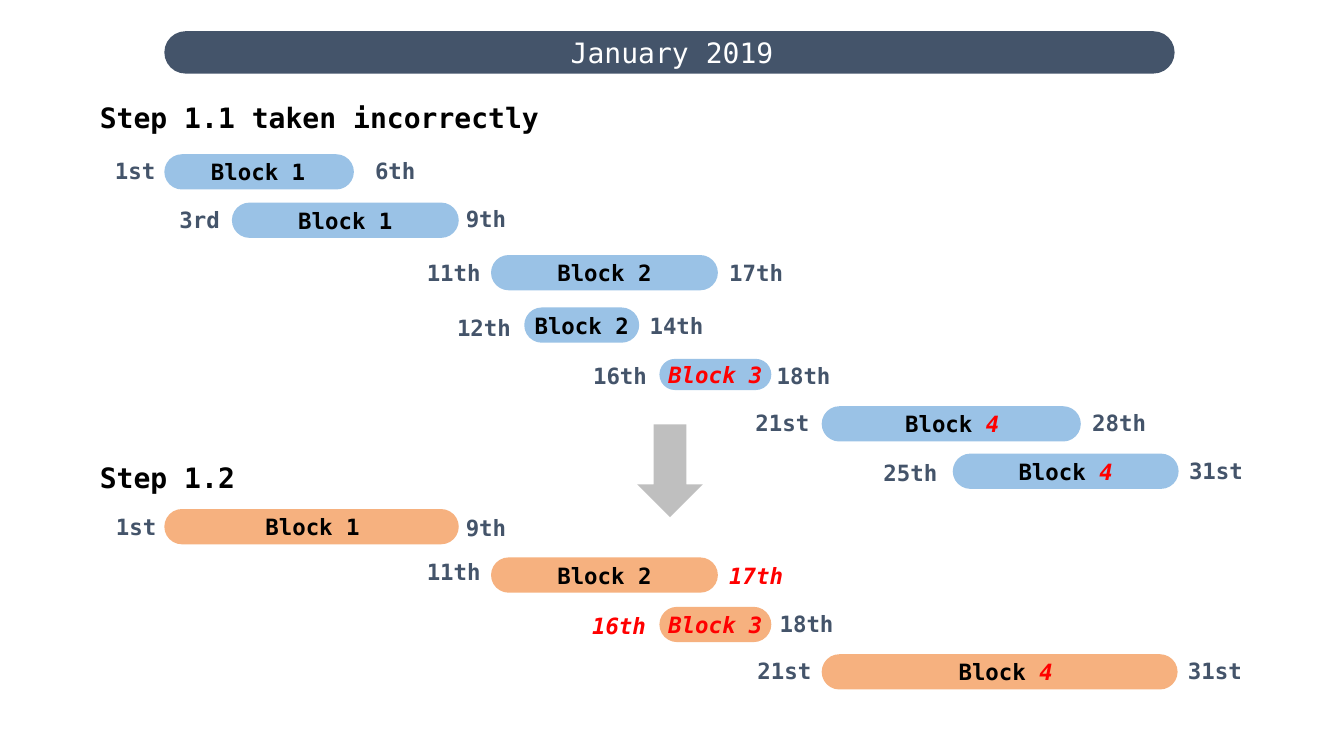
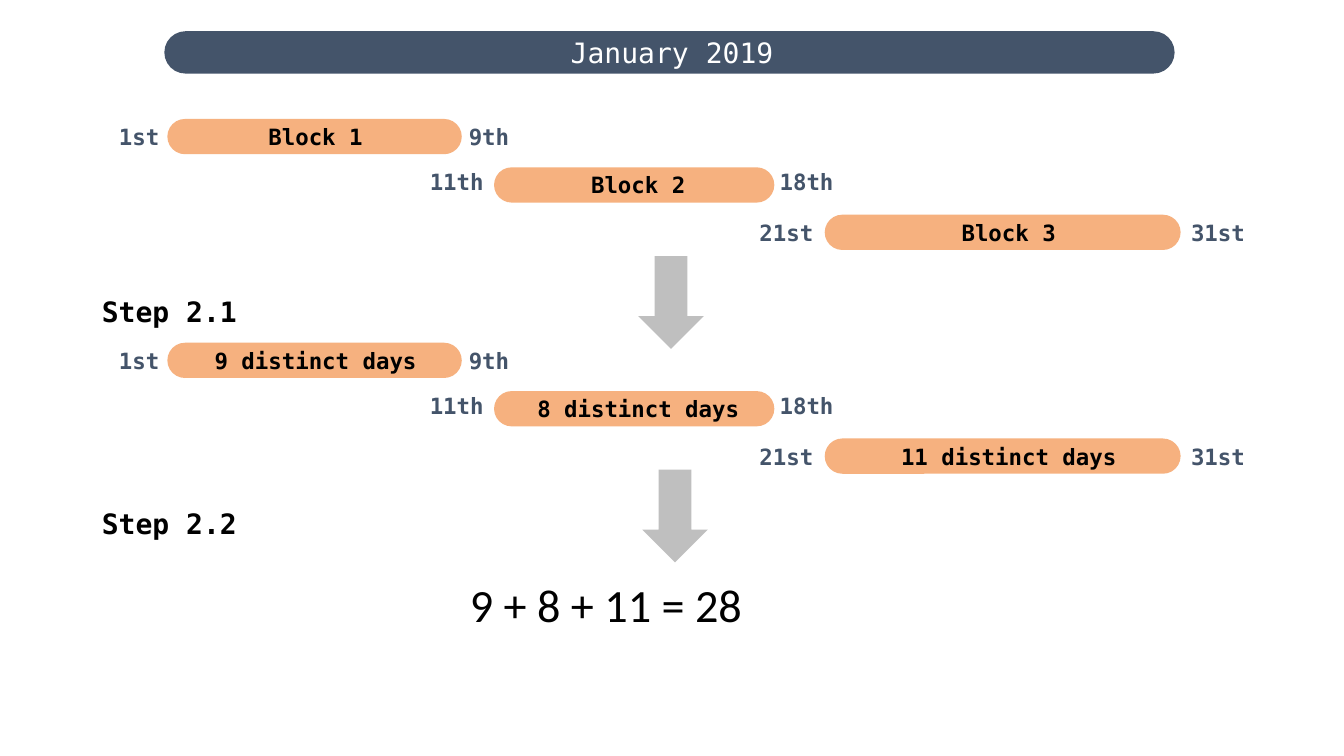
from dataclasses import dataclass

from pptx import Presentation
from pptx.dml.color import RGBColor
from pptx.enum.shapes import MSO_SHAPE as SHAPE
from pptx.enum.text import MSO_ANCHOR as ANCHOR, MSO_AUTO_SIZE as AUTO, PP_ALIGN as ALIGN
from pptx.util import Emu, Pt

PX = 9144
NAVY, BLUE, ORANGE, GREY = "44546A", "9AC2E6", "F6B17F", "BFBFBF"
BLACK, WHITE, RED = "000000", "FFFFFF", "FF0000"
MONO = "DejaVu Sans Mono"
HEADING = dict(name=MONO, size=Pt(20), bold=True)
LABEL = dict(name=MONO, size=Pt(16), bold=True)
TITLE = dict(name=MONO, size=Pt(20), bold=False)
SUM = dict(name="Calibri", size=Pt(33))
FRAME = dict(margin_left=0, margin_top=0, margin_right=0, margin_bottom=0,
             vertical_anchor=ANCHOR.MIDDLE, word_wrap=True, auto_size=AUTO.NONE)


@dataclass
class Row:
    """One bar of a timeline; each date is (text, centre distance, drop)."""
    x: int
    y: int
    w: int
    text: str
    start: tuple
    end: tuple
    h: int = 35
    nudge: int = 0


def px(*lengths):
    """Turn pixel lengths into EMU."""
    return [Emu(n * PX) for n in lengths]


def color(target, value):
    """Set a fill's or font's colour from a hex string."""
    getattr(target, "fore_color", None) or target.solid()
    target.fore_color.rgb = RGBColor.from_string(value)


def apply(target, values):
    """Set attributes from a dict."""
    for key, value in values.items():
        setattr(target, key, value)


def write(tf, text, font, ink, align=ALIGN.LEFT, **frame):
    """Write one paragraph; parts between asterisks are red italics."""
    apply(tf, FRAME | frame)
    p = tf.paragraphs[0]
    p.alignment = align
    for i, part in enumerate(text.split("*")):
        if part:
            r = p.add_run()
            r.text = part
            apply(r.font, font | dict(italic=i % 2 == 1))
            r.font.fill.solid()
            color(r.font.fill, RED if i % 2 else ink)


def textbox(s, box, text, font, ink, align=ALIGN.LEFT, **frame):
    """Add a text box."""
    tf = s.shapes.add_textbox(*px(*box)).text_frame
    write(tf, text, font, ink, align, **frame)


def shape(s, kind, box, fill):
    """Add a flat preset shape."""
    sp = s.shapes.add_shape(kind, *px(*box))
    sp.shadow.inherit = False
    sp.fill.solid()
    color(sp.fill, fill)
    sp.line.fill.background()
    return sp


def pill(s, box, fill):
    """Add a bar with fully rounded ends."""
    sp = shape(s, SHAPE.ROUNDED_RECTANGLE, box, fill)
    sp.adjustments[0] = 0.5
    return sp


def month_slide(prs, text):
    """Add a slide whose title sits on the month band."""
    s = prs.slides.add_slide(prs.slide_layouts[5])
    title = s.shapes.title
    apply(title, dict(zip(("left", "top", "width", "height"), px(566, 35, 202, 34))))
    write(title.text_frame, text, TITLE, WHITE, word_wrap=False)
    band = pill(s, (163, 31, 1002, 42), NAVY)
    title.element.addprevious(band.element)
    return s


def date(s, centre, y, text):
    """Add a date label around a centre."""
    w = 16 * len(text.strip("*"))
    textbox(s, (centre - w // 2, y, w, 27), text, LABEL, NAVY, ALIGN.CENTER)


def timeline(s, x, y, fill, rows):
    """Draw the rows of bars with their dates from a top left corner."""
    for row in rows:
        left, top = x + row.x, y + row.y
        bar = pill(s, (left, top, row.w, row.h), fill)
        write(bar.text_frame, row.text, LABEL, BLACK, ALIGN.CENTER,
              margin_left=px(2 * row.nudge)[0])
        for edge, (text, gap, drop) in ((left, row.start), (left + row.w, row.end)):
            date(s, edge + gap, top + drop, text)


def heading(s, x, y, text):
    """Add a step heading."""
    textbox(s, (x, y, 757, 34), text, HEADING, BLACK)


def arrow(s, x, y):
    """Add a grey arrow that leads to the next step."""
    shape(s, SHAPE.DOWN_ARROW, (x, y, 65, 92), GREY)


def merge_slide(prs):
    """Build the slide on merging overlapping blocks."""
    s = month_slide(prs, "January 2019")
    heading(s, 99, 99, "Step 1.1 taken incorrectly")
    timeline(s, 163, 153, BLUE, [
        Row(0, 0, 188, "Block 1", ("1st", -29, 3), ("6th", 41, 3), nudge=-1),
        Row(67, 48, 225, "Block 1", ("3rd", -32, 3), ("9th", 27, 2)),
        Row(324, 100, 225, "Block 2", ("11th", -37, 4), ("17th", 38, 4)),
        Row(357, 152, 114, "Block 2", ("12th", -40, 6), ("14th", 37, 4)),
        Row(491, 203, 111, "*Block 3*", ("16th", -39, 3), ("18th", 32, 3), h=31),
        Row(652, 250, 257, "Block *4*", ("21st", -39, 3), ("28th", 38, 3), nudge=1),
        Row(782, 297, 224, "Block *4*", ("25th", -42, 5), ("31st", 37, 3)),
    ])
    arrow(s, 632, 421)
    heading(s, 99, 457, "Step 1.2")
    timeline(s, 163, 505, ORANGE, [
        Row(0, 0, 292, "Block 1", ("1st", -28, 4), ("9th", 27, 5), nudge=1),
        Row(324, 48, 225, "Block 2", ("11th", -37, 1), ("*17th*", 38, 4)),
        Row(491, 97, 111, "*Block 3*", ("*16th*", -40, 5), ("18th", 35, 3)),
        Row(652, 144, 353, "Block *4*", ("21st", -37, 3), ("31st", 37, 3), nudge=6),
    ])


def count_slide(prs):
    """Build the slide on counting the distinct days."""
    s = month_slide(prs, "January 2019")
    for y, names in ((118, ("Block 1", "Block 2", "Block 3")),
                     (340, ("9 distinct days", "8 distinct days", "11 distinct days"))):
        first, second, third = names
        timeline(s, 166, y, ORANGE, [
            Row(0, 0, 292, first, ("1st", -28, 4), ("9th", 27, 4), nudge=1),
            Row(324, 48, 278, second, ("11th", -37, 1), ("18th", 32, 1), nudge=4),
            Row(652, 95, 353, third, ("21st", -38, 4), ("31st", 37, 4), nudge=6),
        ])
    arrow(s, 633, 254)
    heading(s, 101, 292, "Step 2.1")
    arrow(s, 637, 466)
    heading(s, 101, 502, "Step 2.2")
    textbox(s, (166, 566, 1065, 66), "9 + 8 + 11 = 28", SUM, BLACK,
            margin_left=px(300)[0])


def main():
    """Build and save the presentation."""
    prs = Presentation()
    prs.slide_width, prs.slide_height = px(1333, 750)
    merge_slide(prs)
    count_slide(prs)
    prs.save("out.pptx")


if __name__ == "__main__":
    main()
